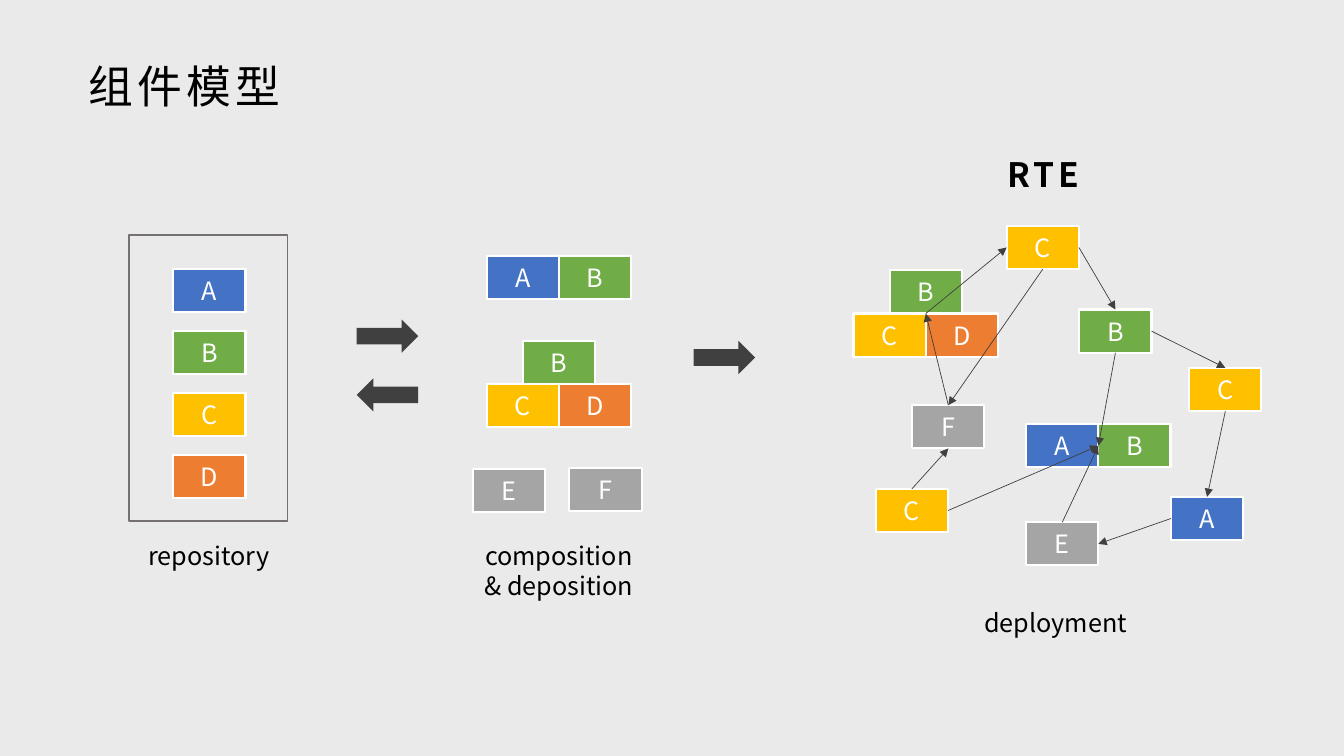
import pptx
import pptx.dml.color
import pptx.enum.dml
import pptx.enum.shapes
import pptx.enum.text
import pptx.oxml.ns
import pptx.util
from lxml import etree
from pptx.util import Cm, Pt

FONT = "Noto Sans CJK SC"
FILLS = {"A": "4472C4", "B": "70AD47", "C": "FFC000",
         "D": "ED7D31", "E": "A5A5A5", "F": "A5A5A5"}
DARK = "404040"
BOX_WIDTH, BOX_HEIGHT = 1.82, 1.09
ARROW_SIZE = (1.55, 0.84)
LABEL_WIDTH = 5.05

# Left, top, width, height in centimetres
TITLE = ("组件模型", (1.98, 1.35, 6.6, 1.63))
FRAME = (3.25, 5.92, 3.99, 7.21)
REPOSITORY = {"letters": "ABCD", "left": 4.37, "top": 6.78, "pitch": 1.56}

# Component offsets inside a composition, in box widths and heights
PAIR = [("B", 1, 0), ("A", 0, 0)]
STACK = [("B", 0.5, 0), ("C", 0, 1), ("D", 1, 1)]
COMPOSITIONS = [
    ("draft pair", PAIR, 12.27, 6.45),
    ("draft stack", STACK, 12.27, 8.59),
    ("stack", STACK, 21.51, 6.81),
    ("pair", PAIR, 25.86, 10.69),
]
SINGLES = [
    ("draft E", "E", 11.91, 11.81),
    ("draft F", "F", 14.35, 11.79),
    ("low C", "C", 22.07, 12.32),
    ("B", "B", 27.2, 7.8),
    ("E", "E", 25.86, 13.16),
    ("F", "F", 22.99, 10.21),
    ("top C", "C", 25.37, 5.69),
    ("A", "A", 29.51, 12.52),
    ("right C", "C", 29.97, 9.27),
]
BLOCK_ARROWS = [(8.99, 8.05, 0), (8.99, 9.53, 180), (17.48, 8.59, 0)]

TOP, LEFT, BOTTOM, RIGHT = range(4)
LINKS = [
    ("stack B", BOTTOM, "top C", LEFT),
    ("F", TOP, "stack B", BOTTOM),
    ("low C", TOP, "F", BOTTOM),
    ("low C", RIGHT, "pair A", RIGHT),
    ("top C", RIGHT, "B", TOP),
    ("E", TOP, "pair A", RIGHT),
    ("A", LEFT, "E", RIGHT),
    ("right C", BOTTOM, "A", TOP),
    ("B", BOTTOM, "pair A", RIGHT),
    ("B", RIGHT, "right C", TOP),
    ("top C", BOTTOM, "F", TOP),
]

# Lines, left, top, height, size, bold, letter spacing
LABELS = [
    (["repository"], 2.74, 13.49, 1.02, 18, False, 0),
    (["composition", "& deposition"], 11.56, 13.49, 1.8, 18, False, 0),
    (["deployment"], 24.08, 15.19, 1.02, 18, False, 0),
    (["RTE"], 23.77, 3.76, 1.27, 24, True, 3),
]


def color(value):
    return pptx.dml.color.RGBColor.from_string(value)


def write(box, lines, size, ink="000000", bold=False, spacing=0, align="CENTER"):
    frame = box.text_frame
    frame.word_wrap = True
    frame.auto_size = pptx.enum.text.MSO_AUTO_SIZE.NONE
    for index, line in enumerate(lines):
        para = frame.add_paragraph() if index else frame.paragraphs[0]
        para.alignment = pptx.enum.text.PP_ALIGN[align]
        span = para.add_run()
        span.text = line
        span.font.size = Pt(size)
        span.font.bold = bold
        span.font.name = FONT
        span.font.color.rgb = color(ink)
        properties = span._r.get_or_add_rPr()
        if spacing:
            properties.set("spc", str(spacing * 100))
        east_asian = etree.SubElement(properties, pptx.oxml.ns.qn("a:ea"))
        east_asian.set("typeface", FONT)


def add_block(shapes, kind, place, fill=None, line=None, width=1):
    """Add a preset shape without shadow; no fill or line means none is drawn."""
    shape = shapes.add_shape(pptx.enum.shapes.MSO_SHAPE[kind], *map(Cm, place))
    shape.shadow.inherit = False
    if fill:
        shape.fill.solid()
        shape.fill.fore_color.rgb = color(fill)
    else:
        shape.fill.background()
    if line:
        shape.line.color.rgb = color(line)
        shape.line.width = Pt(width)
    else:
        shape.line.fill.background()
    return shape


def add_component(shapes, letter, left, top):
    box = add_block(shapes, "RECTANGLE", (left, top, BOX_WIDTH, BOX_HEIGHT),
                    FILLS[letter], "FFFFFF", 1.5)
    box.text_frame.vertical_anchor = pptx.enum.text.MSO_ANCHOR.MIDDLE
    write(box, [letter], 18, "FFFFFF")
    return box


def add_link(page, start, start_site, end, end_site):
    link = page.shapes.add_connector(
        pptx.enum.shapes.MSO_CONNECTOR.STRAIGHT, 0, 0, 0, 0)
    link.begin_connect(start, start_site)
    link.end_connect(end, end_site)
    link.line.color.rgb = color(DARK)
    link.line.width = Pt(0.5)
    head = etree.SubElement(link.line._get_or_add_ln(), pptx.oxml.ns.qn("a:tailEnd"))
    head.set("type", "triangle")
    etree.SubElement(link._element.spPr, pptx.oxml.ns.qn("a:effectLst"))


def main():
    deck = pptx.Presentation()
    deck.slide_width, deck.slide_height = Cm(33.87), Cm(19.05)
    page = deck.slides.add_slide(deck.slide_layouts[5])
    page.background.fill.solid()
    page.background.fill.fore_color.rgb = color("EAEAEA")

    text, place = TITLE
    title = page.shapes.title
    title.left, title.top, title.width, title.height = map(Cm, place)
    title.text_frame.vertical_anchor = pptx.enum.text.MSO_ANCHOR.TOP
    write(title, [text], 32, spacing=3, align="LEFT")

    for row, letter in enumerate(REPOSITORY["letters"]):
        add_component(page.shapes, letter, REPOSITORY["left"],
                      REPOSITORY["top"] + row * REPOSITORY["pitch"])
    add_block(page.shapes, "RECTANGLE", FRAME, line="767171")

    components = {}
    for name, parts, left, top in COMPOSITIONS:
        group = page.shapes.add_group_shape()
        for letter, column, row in parts:
            components[f"{name} {letter}"] = add_component(
                group.shapes, letter,
                left + column * BOX_WIDTH, top + row * BOX_HEIGHT)
    for name, letter, left, top in SINGLES:
        components[name] = add_component(page.shapes, letter, left, top)

    for left, top, rotation in BLOCK_ARROWS:
        arrow = add_block(page.shapes, "RIGHT_ARROW", (left, top, *ARROW_SIZE), DARK)
        arrow.rotation = rotation

    for start, start_site, end, end_site in LINKS:
        add_link(page, components[start], start_site, components[end], end_site)

    for lines, left, top, height, size, bold, spacing in LABELS:
        label = page.shapes.add_textbox(*map(Cm, (left, top, LABEL_WIDTH, height)))
        write(label, lines, size, bold=bold, spacing=spacing)

    deck.save("out.pptx")


if __name__ == "__main__":
    main()
